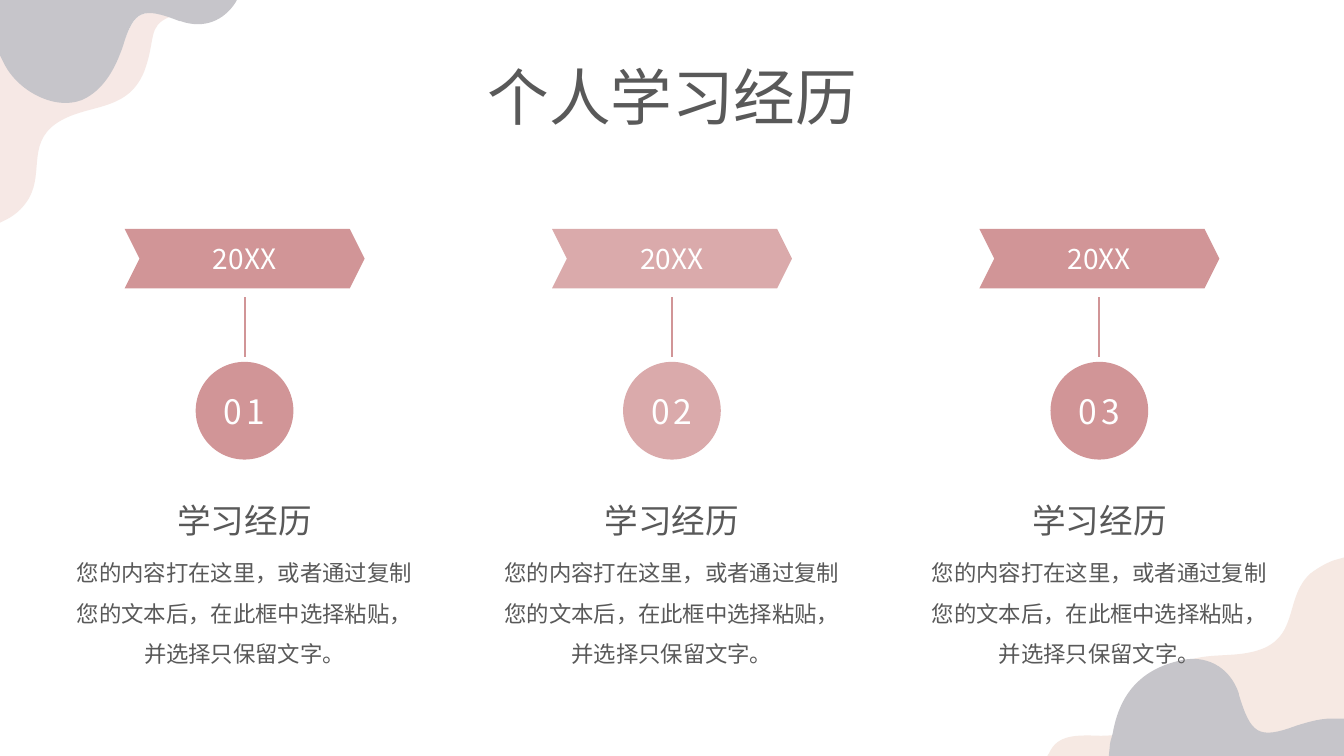
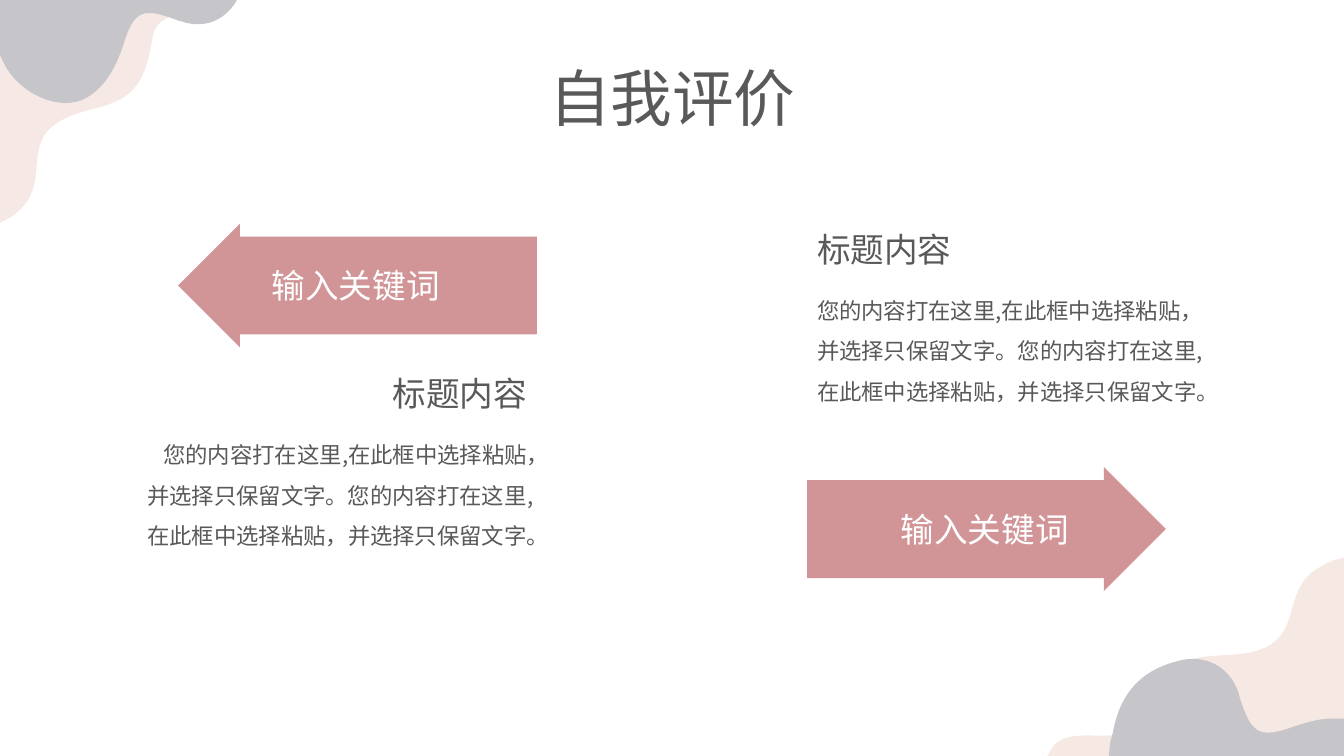
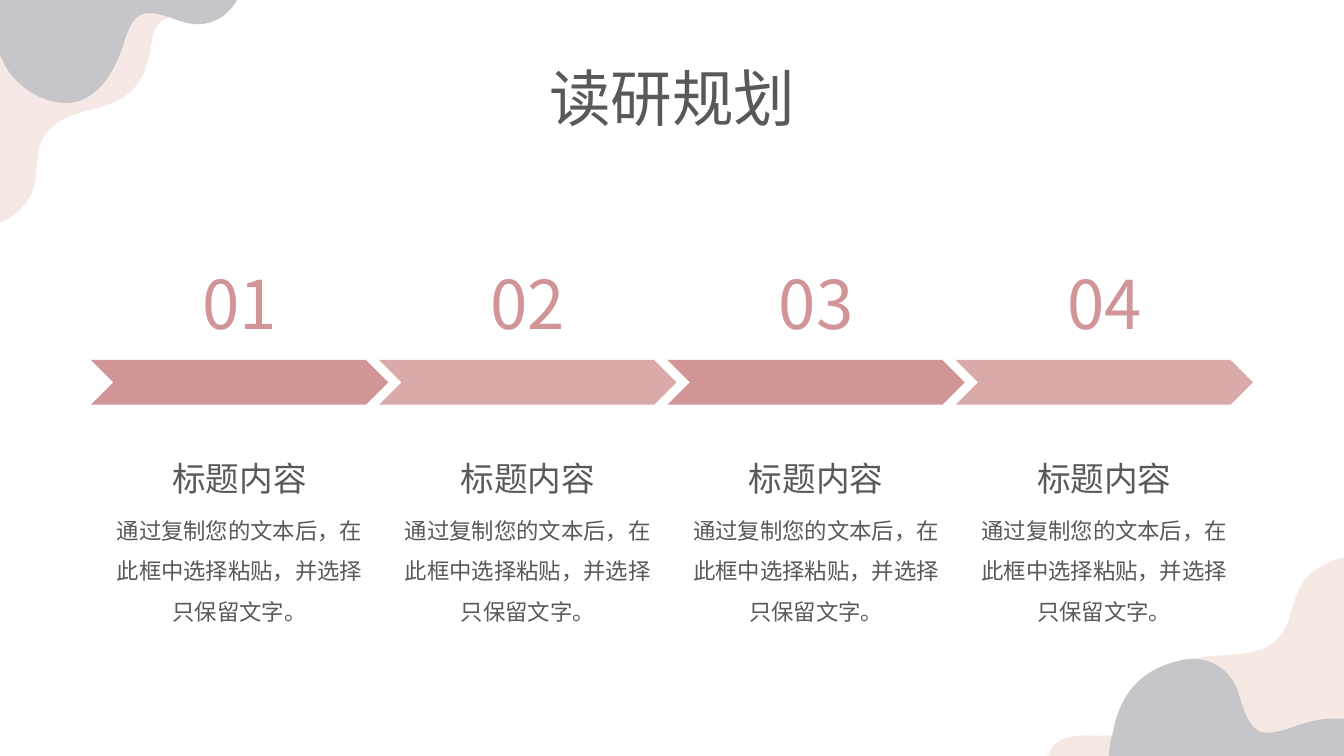
from lxml.etree import SubElement
from pptx import Presentation
from pptx.dml.color import RGBColor
from pptx.enum.lang import MSO_LANGUAGE_ID
from pptx.enum.shapes import MSO_CONNECTOR, MSO_SHAPE
from pptx.enum.text import MSO_ANCHOR, MSO_AUTO_SIZE, PP_ALIGN
from pptx.oxml.ns import qn
from pptx.util import Pt

WIDTH, HEIGHT = 960, 540
CENTER = WIDTH / 2
UNITS = 100  # freeform units in a point
FONT = "Noto Sans CJK SC"
COLORS = {
    "rose": "D19597",
    "light_rose": "DAAAAB",
    "gray": "C6C5CA",
    "peach_top": "F6E8E5",
    "peach_bottom": "F6E9E3",
    "text": "595959",
    "white": "FFFFFF",
}

# Corner waves: colour and outline; two numbers are a line, six a Bezier curve
WAVES = [
    ("peach_top", [
        (0, 159.1), (0, 36.7), (3.6, 44.6),
        (14.4, 66.2, 43.9, 78.5, 61.9, 68.4),
        (75.6, 61.2, 83.5, 46.8, 87.8, 32.4),
        (95.8, 8.6, 101.5, 5.8, 121, 12.2),
        (105.1, 18.7, 111.6, 28.1, 103, 51.1),
        (90.7, 81.4, 61.2, 73.4, 39.6, 88.6),
        (18.7, 103.7, 32.4, 126, 18.7, 144.7),
        (15.1, 149.8, 10.8, 153.4, 5.8, 156.2)]),
    ("gray", [
        (0, 39.6), (0, 0), (169.2, 0), (168.5, 1.4),
        (159.8, 15.1, 145.4, 20.9, 128.9, 15.1),
        (128.9, 15.1, 128.2, 15.1, 128.2, 15.1),
        (102.2, 5, 95.8, 6.5, 87.8, 33.1),
        (82.8, 47.5, 75.6, 61.9, 61.9, 69.8),
        (43.2, 80.6, 13.7, 67, 2.9, 45.4),
        (2.2, 43.9, 1.4, 42.5, 0.7, 41)]),
    ("peach_bottom", [
        (748.1, 540), (749.5, 537.8),
        (755.3, 524.9, 768.2, 524.9, 786.2, 525.6),
        (823, 524.9, 812.2, 514.1, 828.7, 487.4),
        (848.9, 459.4, 877, 473.8, 902.9, 463),
        (927.4, 452.2, 918, 426.2, 936, 409.7),
        (941.8, 405.4, 946.8, 402.5, 952.6, 400.3),
        (960, 398.2), (960, 540)]),
    ("gray", [
        (792, 540), (792.7, 533.5),
        (792.7, 529.9, 794.2, 527, 794.9, 523.4),
        (799.9, 495.4, 815, 478.8, 841, 472.3),
        (860.4, 466.6, 878.4, 475.9, 884.9, 495.4),
        (884.9, 495.4, 884.9, 496.1, 884.9, 496.1),
        (893.5, 524.2, 898.6, 528.5, 925.9, 518.4),
        (935.3, 515.5, 944.6, 512.6, 955.4, 513.4),
        (960, 513.4), (960, 540)]),
]


def rgb(color):
    return RGBColor.from_string(COLORS[color])


def paint(shape, color):
    shape.shadow.inherit = False
    shape.fill.solid()
    shape.fill.fore_color.rgb = rgb(color)
    shape.line.fill.background()


def write(frame, text, size, color="text", align=PP_ALIGN.CENTER, spacing=None, tracking=0):
    paragraph = frame.paragraphs[0]
    paragraph.alignment = align
    if spacing:
        paragraph.line_spacing = spacing
    run = paragraph.add_run()
    run.text = text
    font = run.font
    font.size = Pt(size)
    font.color.rgb = rgb(color)
    font.name = FONT
    font.language_id = MSO_LANGUAGE_ID.SIMPLIFIED_CHINESE
    properties = run._r.get_or_add_rPr()
    SubElement(properties, qn("a:ea")).set("typeface", FONT)
    if tracking:
        properties.set("spc", str(tracking * 100))


def add_text(slide, x, y, width, height, text, size, wrap=True, **style):
    frame = slide.shapes.add_textbox(Pt(x), Pt(y), Pt(width), Pt(height)).text_frame
    frame.word_wrap = wrap
    frame.auto_size = MSO_AUTO_SIZE.SHAPE_TO_FIT_TEXT
    write(frame, text, size, **style)


def add_filled(slide, kind, x, y, width, height, color, adjustments=()):
    shape = slide.shapes.add_shape(kind, Pt(x), Pt(y), Pt(width), Pt(height))
    paint(shape, color)
    for index, value in enumerate(adjustments):
        shape.adjustments[index] = value
    return shape


def add_wave(slide, color, outline):
    """Freeform through the end points, with its curves bent by their handles."""
    ends = [segment[-2:] for segment in outline]
    left, top = (min(values) for values in zip(*ends))
    units = [(x * UNITS, y * UNITS) for x, y in ends]
    builder = slide.shapes.build_freeform(*units[0], scale=Pt(1) / UNITS)
    builder.add_line_segments(units[1:], close=True)
    wave = builder.convert_to_shape()
    paint(wave, color)
    lines = list(wave._element.iter(qn("a:lnTo")))
    for line, segment in zip(lines, outline[1:]):
        if len(segment) == 6:
            line.tag = qn("a:cubicBezTo")
            end = line[0]
            for x, y in (segment[:2], segment[2:4]):
                handle = SubElement(line, qn("a:pt"))
                handle.set("x", str(round((x - left) * UNITS)))
                handle.set("y", str(round((y - top) * UNITS)))
            line.append(end)


def add_base_slide(deck):
    """Blank slide with the corner waves."""
    slide = deck.slides.add_slide(deck.slide_layouts[6])
    for color, outline in WAVES:
        add_wave(slide, color, outline)
    return slide


def add_title(slide, title, y=39.6):
    add_text(slide, 311.8, y, 337, 60.5, title, 44)


def add_caption(slide, x, y, width, height, heading, body, gap=33, align=PP_ALIGN.CENTER):
    """Heading with its paragraph below."""
    heading_width = 111.6
    slack = width - heading_width
    shift = {PP_ALIGN.LEFT: 0, PP_ALIGN.CENTER: slack / 2, PP_ALIGN.RIGHT: slack}[align]
    add_text(slide, x, y + gap, width, height, body, 16, align=align, spacing=1.5)
    add_text(slide, x + shift, y, heading_width, 36, heading, 24, wrap=False, align=align)


def column_centers(count, pitch):
    return [CENTER + (index - (count - 1) / 2) * pitch for index in range(count)]


def alternate(index):
    return ("rose", "light_rose")[index % 2]


def add_year_column(slide, center, y, number, color):
    """Numbered circle, stem, year banner and caption."""
    circle = add_filled(slide, MSO_SHAPE.OVAL, center - 34.9, y + 95, 69.8, 69.8, color)
    frame = circle.text_frame
    frame.margin_left = frame.margin_right = frame.margin_top = frame.margin_bottom = 0
    frame.vertical_anchor = MSO_ANCHOR.MIDDLE
    write(frame, number, 24, color="white", tracking=3)

    stem = slide.shapes.add_connector(
        MSO_CONNECTOR.STRAIGHT, Pt(center), Pt(y + 91.5), Pt(center), Pt(y + 49))
    stem.line.color.rgb = rgb("rose")
    stem.line.width = Pt(1.5)
    SubElement(stem._element.spPr, qn("a:effectLst"))

    add_filled(slide, MSO_SHAPE.CHEVRON, center - 85.7, y, 171.4, 42.5, color, [0.25])
    add_text(slide, center - 55.8, y + 5.6, 111.6, 31.5, "20XX", 20, color="white")

    add_caption(slide, center - 129, y + 190, 258, 91.5, "学习经历",
                "您的内容打在这里，或者通过复制您的文本后，在此框中选择粘贴，并选择只保留文字。")


def add_keyword_arrow(slide, kind, x, y):
    add_filled(slide, kind, x, y, 256.3, 88.5, "rose", [0.79, 0.5])
    add_text(slide, x + 59.8, y + 26, 135.4, 36, "输入关键词", 24, wrap=False,
             color="white", align=PP_ALIGN.LEFT)


def add_evaluation(slide, x, y, align):
    add_caption(slide, x, y, 286, 120, "标题内容",
                "您的内容打在这里,在此框中选择粘贴，并选择只保留文字。"
                "您的内容打在这里,在此框中选择粘贴，并选择只保留文字。",
                gap=39.5, align=align)


def add_plan_step(slide, center, y, number, color):
    """Chevron, large number and caption."""
    add_filled(slide, MSO_SHAPE.CHEVRON, center - 106.2, y + 73.5, 212.4, 32, color)
    add_text(slide, center - 46.5, y, 93, 65.5, number, 48, color="rose")
    add_caption(slide, center - 95, y + 139.7, 190, 94.3, "标题内容",
                "通过复制您的文本后，在此框中选择粘贴，并选择只保留文字。")


def build_experience(deck):
    slide = add_base_slide(deck)
    for index, center in enumerate(column_centers(3, 305.3)):
        add_year_column(slide, center, 163.5, f"{index + 1:02}", alternate(index))
    add_title(slide, "个人学习经历", y=38.4)


def build_evaluation(deck):
    slide = add_base_slide(deck)
    top, left_edge, right_edge = 159.7, 383.5, 576.5
    # Left side: arrow above text
    add_keyword_arrow(slide, MSO_SHAPE.LEFT_ARROW, left_edge - 256.3, top)
    add_evaluation(slide, left_edge - 286, top + 103, PP_ALIGN.RIGHT)
    # Right side: arrow below text
    add_keyword_arrow(slide, MSO_SHAPE.RIGHT_ARROW, right_edge, top + 174)
    add_evaluation(slide, right_edge, top, PP_ALIGN.LEFT)
    add_title(slide, "自我评价")


def build_plan(deck):
    slide = add_base_slide(deck)
    for index, center in enumerate(column_centers(4, 205.9)):
        add_plan_step(slide, center, 183.6, f"{index + 1:02}", alternate(index))
    add_title(slide, "读研规划")


def main():
    deck = Presentation()
    deck.slide_width, deck.slide_height = Pt(WIDTH), Pt(HEIGHT)
    build_experience(deck)
    build_evaluation(deck)
    build_plan(deck)
    deck.save("out.pptx")


if __name__ == "__main__":
    main()
